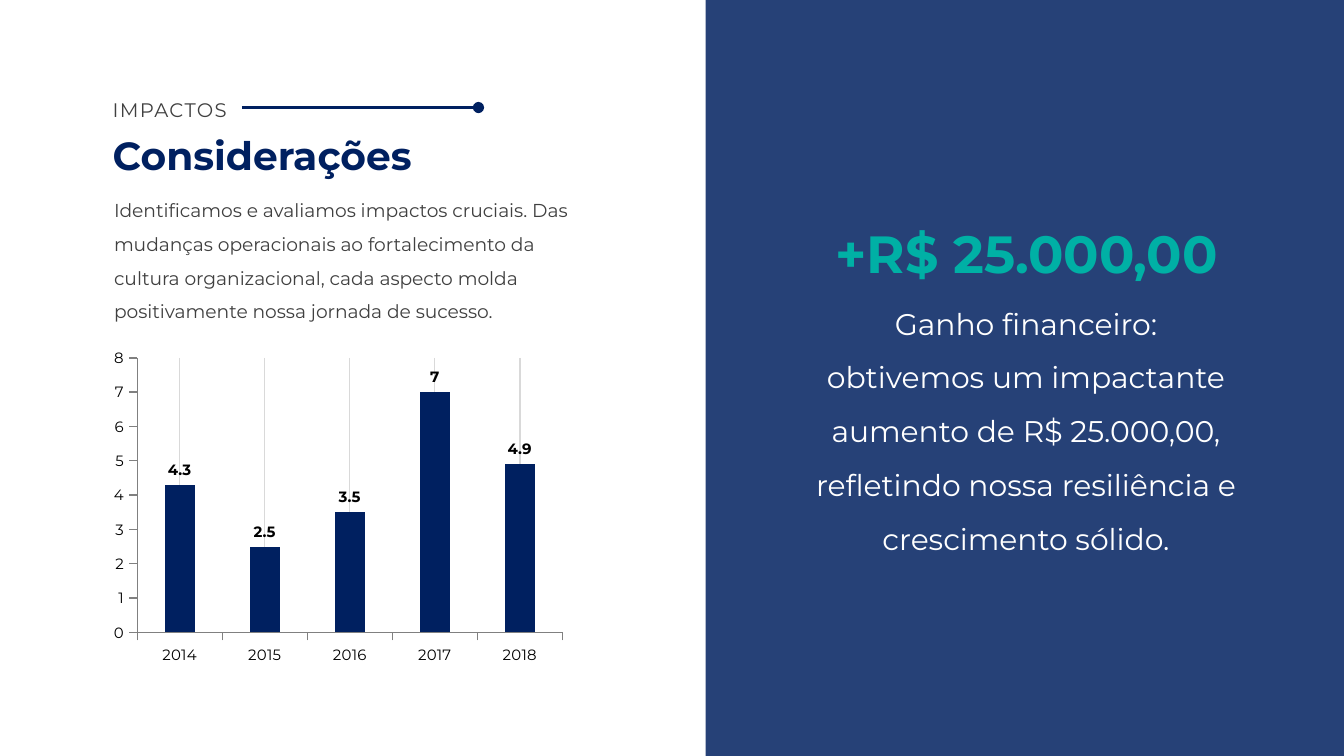
from lxml import etree
from pptx import Presentation
from pptx import util as u
from pptx.chart.data import CategoryChartData
from pptx.dml.color import RGBColor
from pptx.enum import chart as charts, shapes, text
from pptx.oxml import parse_xml
from pptx.oxml.ns import nsdecls, qn

COLORS = {"navy": "002060", "teal": "00B0A5", "gray": "404040", "white": "FFFFFF",
          "black": "000000", "axis": "808080", "grid": "D9D9D9"}
FONT = "Montserrat"
WIDTH = 10
HEIGHT = WIDTH * 9 / 16
PANEL = (5.25, 0, WIDTH - 5.25, HEIGHT)
RULE = ((1.8, 0.8), (3.56, 0.8))
CHART = (0.83, 2.57, 3.36, 2.38)
PLOT_PERCENT = {"x": 5.7, "y": 3.9, "w": 94.3, "h": 85.9}
YEARS = ["2014", "2015", "2016", "2017", "2018"]
VALUES = [4.3, 2.5, 3.5, 7, 4.9]

TEXTS = [
    {"at": (0.74, 0.93, 3.76, 0.45), "text": "Considerações",
     "size": 21, "color": "navy", "bold": True},
    {"at": (0.74, 0.68, 1.1, 0.28), "text": "IMPACTOS",
     "size": 10.5, "color": "gray", "wrap": False, "tracking": 75},
    {"at": (0.75, 1.35, 3.69, 1.08), "size": 10, "color": "gray", "leading": 1.5,
     "text": "Identificamos e avaliamos impactos cruciais. Das mudanças operacionais ao "
             "fortalecimento da cultura organizacional, cada aspecto molda positivamente "
             "nossa jornada de sucesso."},
    {"at": (5.96, 2.09, 3.35, 2.07), "size": 16, "color": "white", "leading": 1.5,
     "centered": True,
     "text": "Ganho financeiro: obtivemos um impactante aumento de R$ 25.000,00, "
             "refletindo nossa resiliência e crescimento sólido."},
    {"at": (5.76, 1.6, 3.76, 0.57), "text": "+R$ 25.000,00",
     "size": 28, "color": "teal", "bold": True, "centered": True},
]


def rgb(name):
    return RGBColor.from_string(COLORS[name])


def inches(lengths):
    return [u.Inches(length) for length in lengths]


def style_font(font, size, color, bold=False):
    font.name, font.size, font.bold = FONT, u.Pt(size), bold
    font.color.rgb = rgb(color)


def style_line(line, color, width):
    line.color.rgb = rgb(color)
    line.width = u.Pt(width)


def add_panel(page):
    panel = page.shapes.add_shape(shapes.MSO_SHAPE.RECTANGLE, *inches(PANEL))
    panel.shadow.inherit = False
    panel.fill.solid()
    panel.fill.fore_color.rgb = rgb("navy")
    panel.line.fill.background()
    fill_color = panel._element.spPr.find(".//" + qn("a:srgbClr"))
    etree.SubElement(fill_color, qn("a:alpha"), val="85000")


def add_text(page, item):
    box = page.shapes.add_textbox(*inches(item["at"]))
    frame = box.text_frame
    frame.word_wrap = item.get("wrap", True)
    frame.auto_size = text.MSO_AUTO_SIZE.SHAPE_TO_FIT_TEXT
    para = frame.paragraphs[0]
    para.line_spacing = item.get("leading")
    if item.get("centered"):
        para.alignment = text.PP_ALIGN.CENTER
    span = para.add_run()
    span.text = item["text"]
    style_font(span.font, item["size"], item["color"], item.get("bold", False))
    if "tracking" in item:
        span.font._element.set("spc", str(item["tracking"]))


def add_rule(page):
    start, end = RULE
    rule = page.shapes.add_connector(shapes.MSO_CONNECTOR.STRAIGHT, *inches(start + end))
    style_line(rule.line, "navy", 2)
    properties = rule._element.spPr
    etree.SubElement(properties.find(qn("a:ln")), qn("a:tailEnd"), type="oval")
    etree.SubElement(properties, qn("a:effectLst"))


def set_plot_layout(chart):
    area = chart._chartSpace.chart.plotArea
    for old in area.findall(qn("c:layout")):
        area.remove(old)
    sizes = "".join(f'<c:{key} val="{percent / 100:.3f}"/>'
                    for key, percent in PLOT_PERCENT.items())
    area.insert(0, parse_xml(
        f'<c:layout {nsdecls("c")}><c:manualLayout><c:layoutTarget val="inner"/>'
        f'<c:xMode val="edge"/><c:yMode val="edge"/>{sizes}</c:manualLayout></c:layout>'))


def add_chart(page):
    data = CategoryChartData()
    data.categories = YEARS
    data.add_series("Series 1", VALUES)
    kind = charts.XL_CHART_TYPE.COLUMN_CLUSTERED
    chart = page.shapes.add_chart(kind, *inches(CHART), data).chart
    chart.has_legend = chart.has_title = False
    style_font(chart.font, 8, "black")
    years, scale = chart.category_axis, chart.value_axis
    for axis in (years, scale):
        axis.has_major_gridlines = False
        axis.major_tick_mark = charts.XL_TICK_MARK.OUTSIDE
        axis.minor_tick_mark = charts.XL_TICK_MARK.NONE
        style_font(axis.tick_labels.font, 8, "black")
        style_line(axis.format.line, "axis", 0.75)
    years.has_minor_gridlines = True
    style_line(years.minor_gridlines.format.line, "grid", 0.75) if hasattr(
        years, "minor_gridlines") else style_minor_gridlines(years)
    scale.minimum_scale, scale.maximum_scale, scale.major_unit = 0, 8, 1
    plot = chart.plots[0]
    plot.gap_width = 182
    plot.vary_by_categories = False
    bars = plot.series[0]
    bars.format.fill.solid()
    bars.format.fill.fore_color.rgb = rgb("navy")
    labels = bars.data_labels
    labels.show_value = True
    labels.position = charts.XL_LABEL_POSITION.OUTSIDE_END
    style_font(labels.font, 8, "black", True)
    set_plot_layout(chart)


def style_minor_gridlines(axis):
    gridlines = axis._element.find(qn("c:minorGridlines"))
    gridlines.append(parse_xml(
        f'<c:spPr {nsdecls("c", "a")}><a:ln w="{u.Pt(0.75)}"><a:solidFill>'
        f'<a:srgbClr val="{COLORS["grid"]}"/></a:solidFill></a:ln></c:spPr>'))


def main():
    deck = Presentation()
    deck.slide_width, deck.slide_height = inches((WIDTH, HEIGHT))
    page = deck.slides.add_slide(deck.slide_layouts[6])
    add_panel(page)
    add_chart(page)
    for item in TEXTS:
        add_text(page, item)
    add_rule(page)
    deck.save("out.pptx")


if __name__ == "__main__":
    main()
